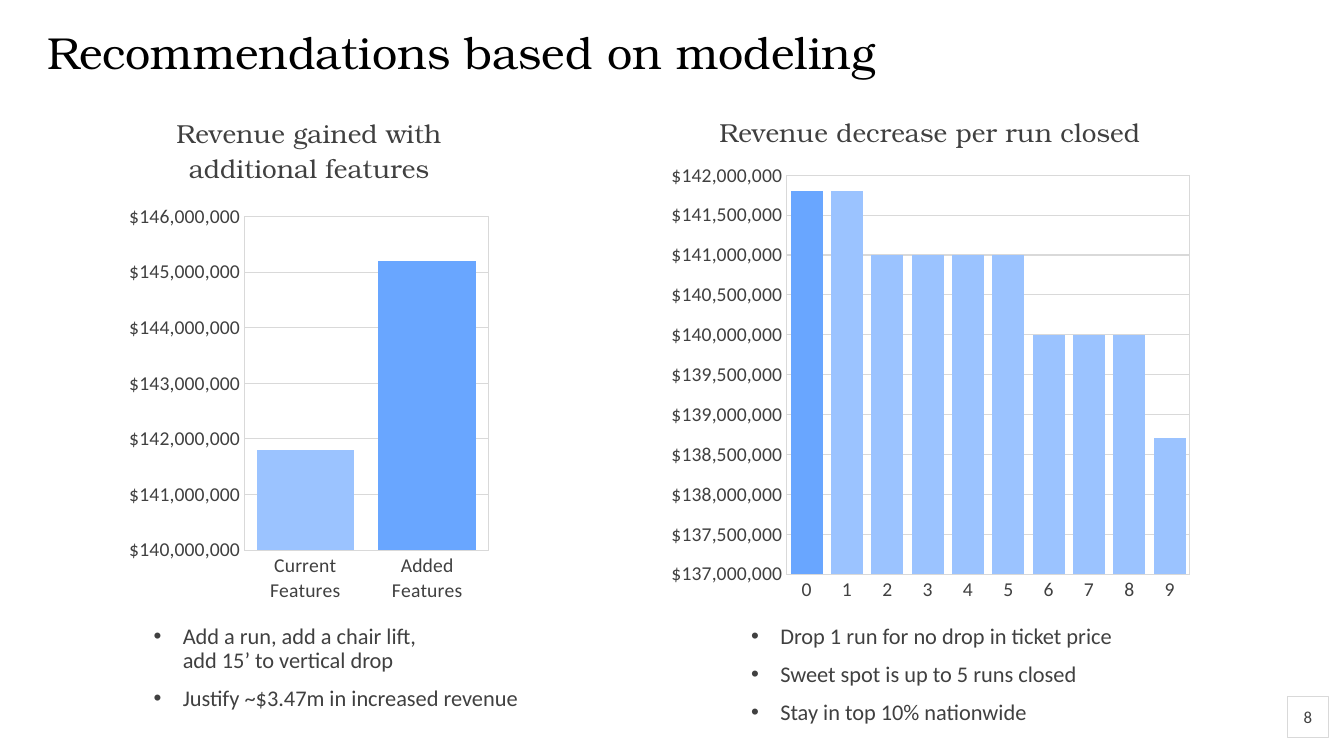
from dataclasses import dataclass

from pptx import Presentation
from pptx import util as u
from pptx.chart.data import CategoryChartData
from pptx.dml.color import RGBColor
from pptx.enum import chart as ch, shapes, text
from pptx.oxml import parse_xml
from pptx.oxml.ns import nsdecls, qn


@dataclass(frozen=True)
class Theme:
    heading: str = "TeX Gyre Bonum"
    body: str = "Calibri"
    black: str = "000000"
    grey: str = "404040"
    rule: str = "D9D9D9"
    white: str = "FFFFFF"
    bar: str = "9BC3FF"
    accent: str = "69A6FF"
    title_size: float = 32
    chart_title_size: float = 18.6
    bullet_size: float = 16
    axis_size: float = 14
    number_size: float = 12


def set_layout(parent, index, inner=False, **percents):
    """Place a chart part by x, y, w, h in percent of the chart's size."""
    for old in parent.findall(qn("c:layout")):
        parent.remove(old)
    target = '<c:layoutTarget val="inner"/>' if inner else ""
    modes = "".join(f'<c:{k}Mode val="edge"/>' for k in percents if k in "xy")
    values = "".join(f'<c:{k} val="{v / 100:.4f}"/>' for k, v in percents.items())
    parent.insert(index, parse_xml(
        f'<c:layout {nsdecls("c")}><c:manualLayout>{target}{modes}{values}'
        '</c:manualLayout></c:layout>'))


class SlideBuilder:
    def __init__(self, prs, theme):
        self.prs, self.theme = prs, theme
        self.s = prs.slides.add_slide(prs.slide_layouts[5])

    def box(self, *percents):
        """Turn left, top, width, height in percent of the slide into lengths."""
        w, h = self.prs.slide_width, self.prs.slide_height
        return [u.Emu(int(side * v / 100)) for side, v in zip((w, h, w, h), percents)]

    def style(self, font, size, color, face=None):
        font.size, font.name, font.bold = u.Pt(size), face or self.theme.body, False
        font.color.rgb = RGBColor.from_string(color)

    def rule(self, line, width=0.75):
        line.color.rgb = RGBColor.from_string(self.theme.rule)
        line.width = u.Pt(width)

    def frame(self, sp, anchor):
        tf = sp.text_frame
        tf.word_wrap, tf.auto_size = True, text.MSO_AUTO_SIZE.NONE
        tf.vertical_anchor = anchor
        tf.margin_left = tf.margin_top = tf.margin_right = tf.margin_bottom = 0
        return tf

    def run(self, p, words, *style):
        r = p.add_run()
        r.text = words
        self.style(r.font, *style)

    def title(self, words, *percents):
        t, sp = self.theme, self.s.shapes.title
        sp.left, sp.top, sp.width, sp.height = self.box(*percents)
        p = self.frame(sp, text.MSO_ANCHOR.MIDDLE).paragraphs[0]
        p.alignment, p.line_spacing = text.PP_ALIGN.LEFT, 0.9
        self.run(p, words, t.title_size, t.black, t.heading)

    def bullets(self, items, *percents):
        t = self.theme
        tf = self.frame(self.s.shapes.add_textbox(*self.box(*percents)), text.MSO_ANCHOR.TOP)
        for i, item in enumerate(items):
            p = tf.add_paragraph() if i else tf.paragraphs[0]
            p.line_spacing, p.space_before = 0.9, u.Pt(10)
            pPr = p._p.get_or_add_pPr()
            pPr.set("marL", str(u.Inches(0.29)))
            pPr.set("indent", str(-u.Inches(0.29)))
            pPr.append(parse_xml(f'<a:buFont {nsdecls("a")} typeface="Arial"/>'))
            pPr.append(parse_xml(f'<a:buChar {nsdecls("a")} char="•"/>'))
            for j, line in enumerate(item.split("\n")):
                if j:
                    p.add_line_break()
                self.run(p, line, t.bullet_size, t.grey)

    def page_number(self, number, *percents):
        t = self.theme
        sp = self.s.shapes.add_shape(shapes.MSO_SHAPE.RECTANGLE, *self.box(*percents))
        sp.shadow.inherit = False
        sp.fill.solid()
        sp.fill.fore_color.rgb = RGBColor.from_string(t.white)
        self.rule(sp.line, 0.25)
        p = self.frame(sp, text.MSO_ANCHOR.MIDDLE).paragraphs[0]
        p.alignment = text.PP_ALIGN.CENTER
        self.run(p, str(number), t.number_size, t.grey)

    def columns(self, heading, values, scale, accent, title_at, plot_at, *percents):
        """Add a column chart; scale is (low, high, step), accent a bar's index."""
        t = self.theme
        data = CategoryChartData()
        data.categories = list(values)
        data.add_series("Series 1", list(values.values()))
        chart = self.s.shapes.add_chart(
            ch.XL_CHART_TYPE.COLUMN_CLUSTERED, *self.box(*percents), data).chart
        chart.has_legend = False
        self.style(chart.font, t.axis_size, t.grey)

        chart.has_title = True
        chart.chart_title.include_in_layout = False
        p = chart.chart_title.text_frame.paragraphs[0]
        p.alignment = text.PP_ALIGN.CENTER
        self.run(p, heading, t.chart_title_size, t.grey, t.heading)
        set_layout(chart.chart_title._element, 1, **title_at)

        plot = chart.plots[0]
        plot.gap_width, plot.vary_by_categories = 25, False
        for item, color in ((plot.series[0], t.bar),
                            (plot.series[0].points[accent], t.accent)):
            item.format.fill.solid()
            item.format.fill.fore_color.rgb = RGBColor.from_string(color)

        cat, val = chart.category_axis, chart.value_axis
        for axis in (cat, val):
            axis.major_tick_mark = axis.minor_tick_mark = ch.XL_TICK_MARK.NONE
            self.style(axis.tick_labels.font, t.axis_size, t.grey)
        self.rule(cat.format.line)
        val.format.line.fill.background()
        self.rule(val.major_gridlines.format.line)
        val.minimum_scale, val.maximum_scale, val.major_unit = scale
        val.tick_labels.number_format = "[$$-409]#,##0"
        val.tick_labels.number_format_is_linked = False

        area = chart._chartSpace.chart.plotArea
        set_layout(area, 0, inner=True, **plot_at)
        area.append(parse_xml(
            f'<c:spPr {nsdecls("c", "a")}><a:noFill/><a:ln w="{u.Pt(0.75)}"><a:solidFill>'
            f'<a:srgbClr val="{t.rule}"/></a:solidFill></a:ln></c:spPr>'))


def main():
    prs = Presentation()
    prs.slide_width, prs.slide_height = u.Inches(13.33), u.Inches(7.5)
    slide = SlideBuilder(prs, Theme())
    chart_top, chart_height = 12, 69.07
    list_top, list_width, list_height = 82.7, 31.5, 12

    slide.title("Recommendations based on modeling", 3.53, 4.13, 93, 6.27)
    slide.columns(
        "Revenue gained with additional features",
        {"Current Features": 141_800_000, "Added Features": 145_200_000},
        (140_000_000, 146_000_000, 1_000_000), 1,
        dict(x=13.3, y=3.1), dict(x=32.7, y=24.1, w=65.2, h=63.9),
        9.08, chart_top, 27.83, chart_height)
    revenue = [141_800_000] * 2 + [141_000_000] * 4 + [140_000_000] * 3 + [138_700_000]
    slide.columns(
        "Revenue decrease per run closed",
        {str(runs): value for runs, value in enumerate(revenue)},
        (137_000_000, 142_000_000, 500_000), 0,
        dict(x=10.1, y=3), dict(x=23.4, y=16.2, w=74.8, h=76.4),
        49.13, chart_top, 40.13, chart_height)
    slide.bullets(["Add a run, add a chair lift,\nadd 15’ to vertical drop",
                   "Justify ~$3.47m in increased revenue"],
                  11.42, list_top, list_width, list_height)
    slide.bullets(["Drop 1 run for no drop in ticket price",
                   "Sweet spot is up to 5 runs closed",
                   "Stay in top 10% nationwide"],
                  55.88, list_top, list_width, list_height)
    slide.page_number(8, 95.78, 92.13, 3.07, 5.33)
    prs.save("out.pptx")


if __name__ == "__main__":
    main()
